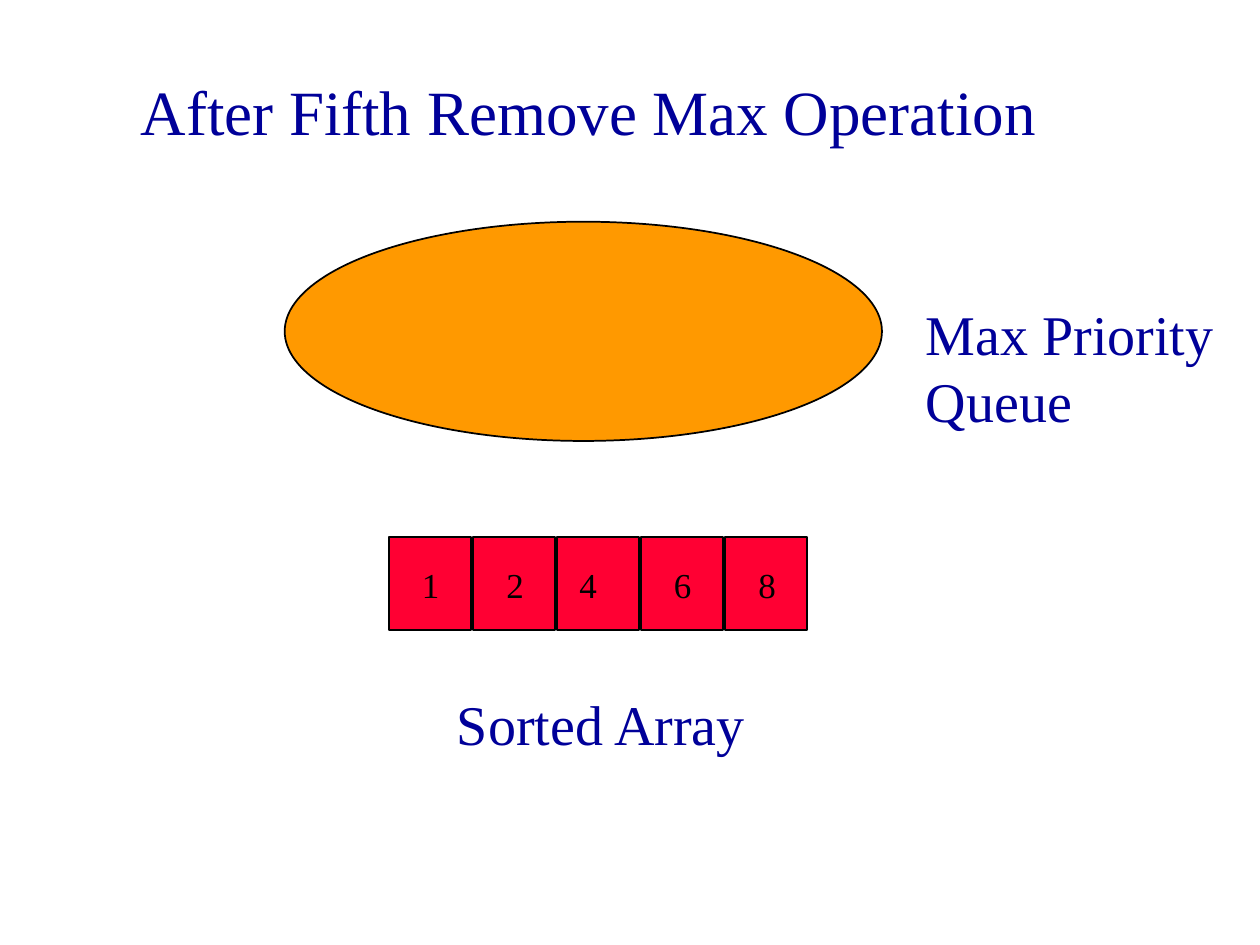
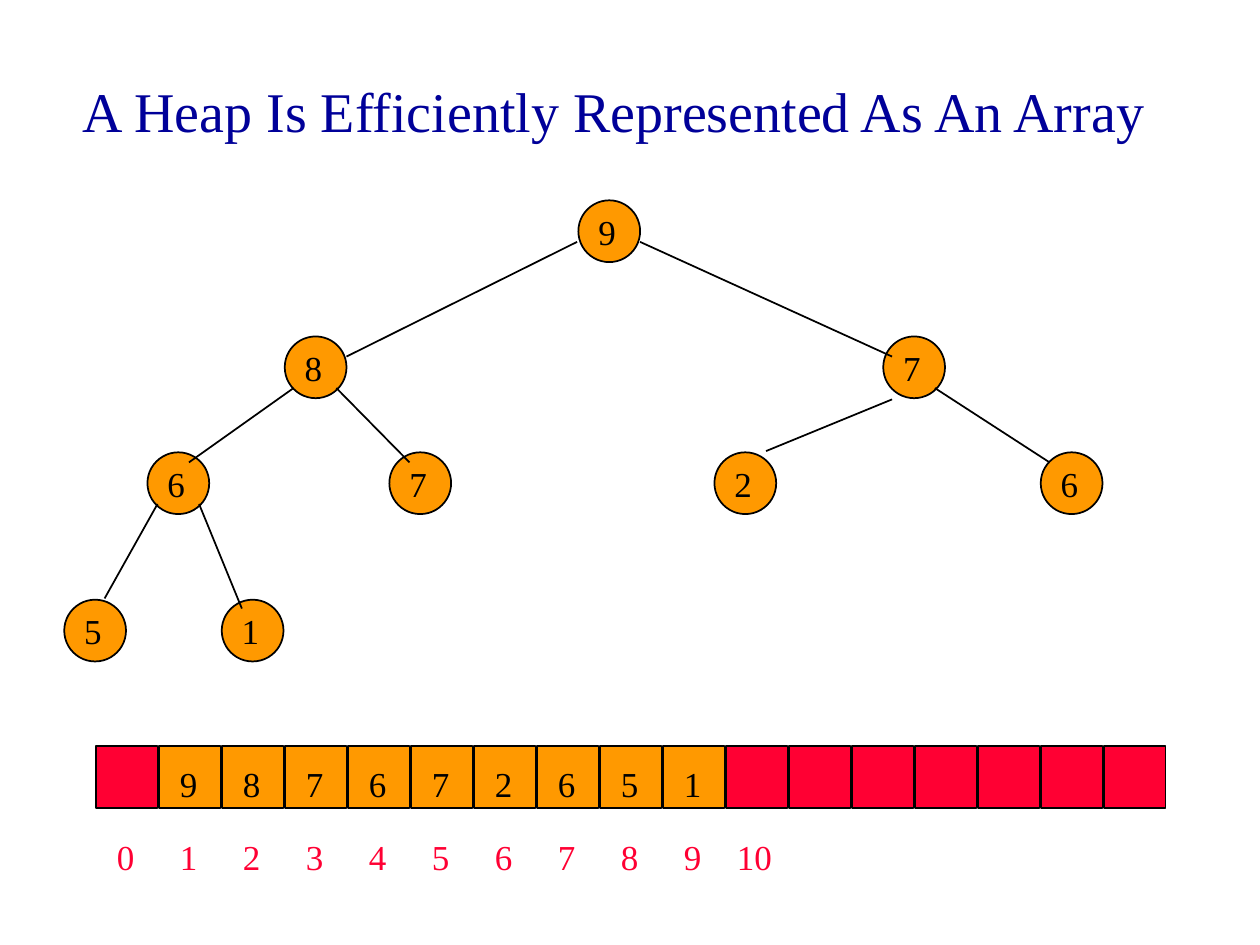
import pptx
import pptx.util
import pptx.dml.color
import pptx.enum.shapes
import pptx.enum.text
import pptx.oxml.ns
import lxml.etree

Inches = pptx.util.Inches
Pt = pptx.util.Pt
MSO_SHAPE = pptx.enum.shapes.MSO_SHAPE
PP_ALIGN = pptx.enum.text.PP_ALIGN

FONT = "Times New Roman"
NAVY, ORANGE, RED, BLACK = "000099", "FF9900", "FF0033", "000000"
TITLE_ONLY = 5

HEAP = [9, 8, 7, 6, 7, 2, 6, 5, 1]
NODE_SIZE = 0.49
NODE_SPOTS = [
    (4.59, 1.59),
    (2.26, 2.67), (7.01, 2.67),
    (1.17, 3.59), (3.09, 3.59), (5.67, 3.59), (8.26, 3.59),
    (0.51, 4.76), (1.76, 4.76),
]
EDGES = [
    (4.58, 1.92, 2.75, 2.83), (5.08, 1.92, 7.08, 2.83),
    (2.33, 3.08, 1.5, 3.67), (2.67, 3.08, 3.25, 3.67),
    (7.08, 3.17, 6.08, 3.58), (7.42, 3.08, 8.33, 3.67),
    (1.25, 4, 0.83, 4.75), (1.58, 4, 1.92, 4.83),
]


def color(value):
    return pptx.dml.color.RGBColor.from_string(value)


def style_text(tf, text, size, value, align):
    tf.word_wrap = True
    p = tf.paragraphs[0]
    p.text = text
    p.alignment = align
    p.font.name = FONT
    p.font.size = Pt(size)
    p.font.color.rgb = color(value)


def add_titled_slide(prs, text, left, width, size):
    s = prs.slides.add_slide(prs.slide_layouts[TITLE_ONLY])
    title = s.shapes.title
    title.left, title.top = Inches(left), Inches(0.25)
    title.width, title.height = Inches(width), Inches(1.25)
    tf = title.text_frame
    tf.vertical_anchor = pptx.enum.text.MSO_ANCHOR.MIDDLE
    tf.auto_size = pptx.enum.text.MSO_AUTO_SIZE.NONE
    style_text(tf, text, size, NAVY, PP_ALIGN.CENTER)
    return s


def add_label(s, text, left, top, width, height=0.43, size=20, value=BLACK,
              align=PP_ALIGN.LEFT):
    box = s.shapes.add_textbox(Inches(left), Inches(top), Inches(width), Inches(height))
    style_text(box.text_frame, text, size, value, align)


def add_outlined(s, kind, left, top, width, height, fill):
    sp = s.shapes.add_shape(kind, Inches(left), Inches(top), Inches(width), Inches(height))
    sp.shadow.inherit = False
    sp.fill.solid()
    sp.fill.fore_color.rgb = color(fill)
    sp.line.color.rgb = color(BLACK)
    sp.line.width = Pt(1)


def add_cells(s, fills, left, top, pitch, width, height):
    for i, fill in enumerate(fills):
        add_outlined(s, MSO_SHAPE.RECTANGLE, left + i * pitch, top, width, height, fill)


def add_edge(s, x1, y1, x2, y2):
    line = s.shapes.add_connector(pptx.enum.shapes.MSO_CONNECTOR.STRAIGHT,
                                  Inches(x1), Inches(y1), Inches(x2), Inches(y2))
    line.line.color.rgb = color(BLACK)
    line.line.width = Pt(1)
    lxml.etree.SubElement(line._element.spPr, pptx.oxml.ns.qn("a:effectLst"))


def add_tree(s):
    for left, top in NODE_SPOTS:
        add_outlined(s, MSO_SHAPE.OVAL, left, top, NODE_SIZE, NODE_SIZE, ORANGE)
    for edge in EDGES:
        add_edge(s, *edge)
    for key, (left, top) in zip(HEAP, NODE_SPOTS):
        add_label(s, str(key), left + 0.06, top + 0.03, 0.34)


def build_queue_slide(prs):
    s = add_titled_slide(prs, "After Fifth Remove Max Operation", 0.42, 8.5, 36)
    add_outlined(s, MSO_SHAPE.OVAL, 2.26, 1.76, 4.74, 1.74, ORANGE)
    add_label(s, "Max Priority Queue", 7.25, 2.33, 2.5, 1.17, 32, NAVY)
    add_cells(s, [RED] * 5, 3.09, 4.26, 2 / 3, 0.65, 0.74)
    for key, left in zip([1, 2, 4, 6, 8], [3.25, 3.92, 4.5, 5.25, 5.92]):
        add_label(s, str(key), left, 4.42, 0.67)
    add_label(s, "Sorted Array", 1.27, 5.42, 7, 1.92, 32, NAVY, PP_ALIGN.CENTER)


def build_heap_slide(prs):
    s = add_titled_slide(prs, "A Heap Is Efficiently Represented As An Array", 0, 9.75, 32)
    pitch = 0.5
    fills = [RED] + [ORANGE] * len(HEAP) + [RED] * 7
    add_cells(s, fills, 0.76, 5.92, pitch, 0.49, 0.49)
    for i, key in enumerate(HEAP, start=1):
        add_label(s, str(key), 0.83 + i * pitch, 6, 0.33)
    for i in range(10):
        add_label(s, str(i), 0.83 + i * pitch, 6.58, 0.33, value=RED)
    add_label(s, "10", 5.75, 6.58, 0.58, value=RED)
    add_tree(s)


def main():
    prs = pptx.Presentation()
    prs.slide_width, prs.slide_height = Inches(10), Inches(7.5)
    build_queue_slide(prs)
    build_heap_slide(prs)
    prs.save("out.pptx")


if __name__ == "__main__":
    main()
